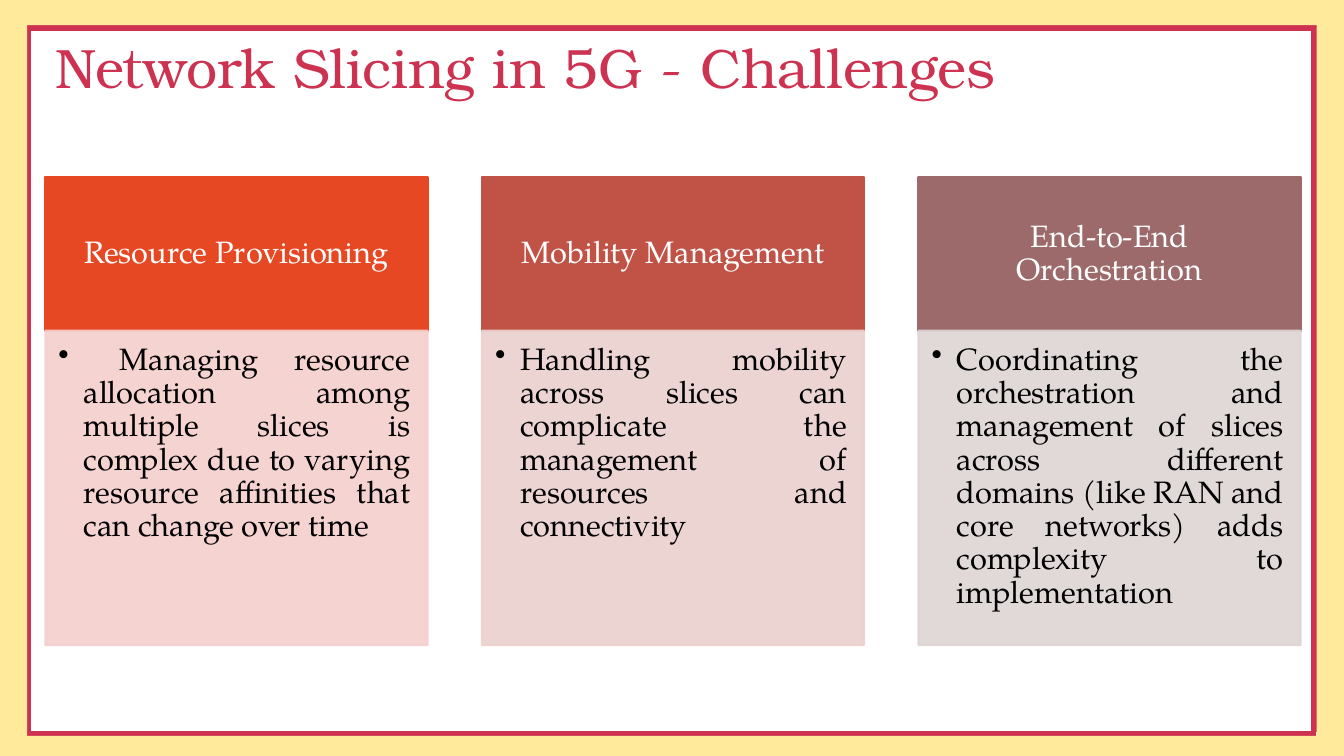
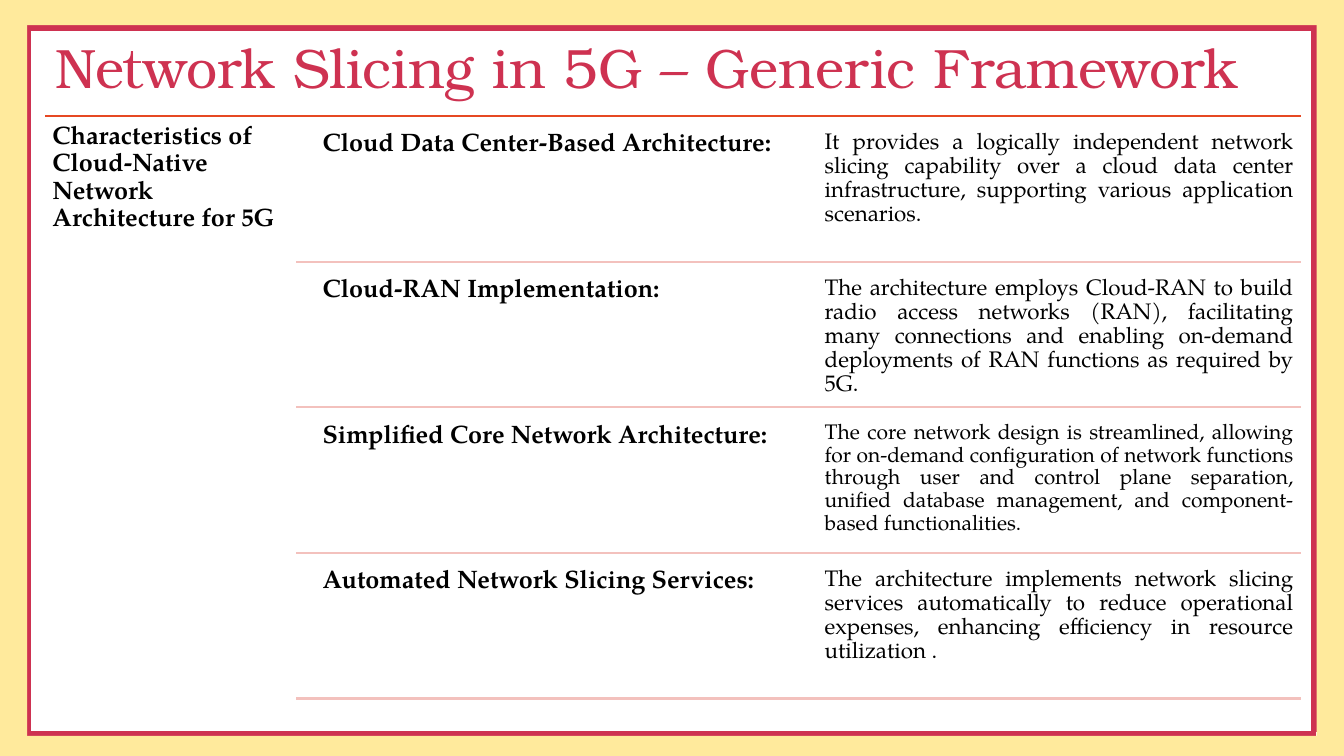
from lxml.etree import SubElement
from pptx import Presentation
from pptx.dml.color import RGBColor
from pptx.enum.shapes import MSO_CONNECTOR, MSO_SHAPE
from pptx.enum.text import MSO_ANCHOR, PP_ALIGN
from pptx.oxml.ns import qn
from pptx.util import Inches, Pt

CRIMSON, CREAM, ORANGE, ROSE = "CE3251", "FFEA9C", "E64823", "F3C1BD"
BLACK, WHITE = "000000", "FFFFFF"
TITLE_FONT, BODY_FONT = "TeX Gyre Bonum", "TeX Gyre Pagella"
CONTENT_LEFT, CONTENT_WIDTH = 0.45, 12.45

CHALLENGES = [
    ("Resource Provisioning", "E64823", "F5CFCD",
     " Managing resource allocation among multiple slices is complex due to "
     "varying resource affinities that can change over time"),
    ("Mobility Management", "C15246", "EBD0CF",
     "Handling mobility across slices can complicate the management of "
     "resources and connectivity"),
    ("End-to-End Orchestration", "9C6A6A", "DED4D4",
     "Coordinating the orchestration and management of slices across different "
     "domains (like RAN and core networks) adds complexity to implementation"),
]

CHARACTERISTICS = [
    ("Cloud Data Center-Based Architecture:", 16,
     "It provides a logically independent network slicing capability over a "
     "cloud data center infrastructure, supporting various application scenarios."),
    ("Cloud-RAN Implementation:", 16,
     "The architecture employs Cloud-RAN to build radio access networks (RAN), "
     "facilitating many connections and enabling on-demand deployments of RAN "
     "functions as required by 5G."),
    ("Simplified Core Network Architecture:", 15,
     "The core network design is streamlined, allowing for on-demand "
     "configuration of network functions through user and control plane "
     "separation, unified database management, and component-based functionalities."),
    ("Automated Network Slicing Services:", 16,
     "The architecture implements network slicing services automatically to "
     "reduce operational expenses, enhancing efficiency in resource utilization ."),
]


def paint(color_format, color, opacity=100):
    color_format.solid()
    color_format.fore_color.rgb = RGBColor.from_string(color)
    if opacity < 100:
        for srgb in color_format._xPr.iter(qn("a:srgbClr")):
            SubElement(srgb, qn("a:alpha"), val=str(opacity * 1000))


def add_line(slide, start, end, color, weight=1.5):
    points = [Inches(v) for v in (*start, *end)]
    line = slide.shapes.add_connector(MSO_CONNECTOR.STRAIGHT, *points)
    paint(line.line.fill, color)
    line.line.width = Pt(weight)
    SubElement(line._element.spPr, qn("a:effectLst"))


def add_panel(slide, box, color, outlined=False, opacity=100):
    panel = slide.shapes.add_shape(MSO_SHAPE.RECTANGLE, *map(Inches, box))
    panel.shadow.inherit = False
    paint(panel.fill, color, opacity)
    if outlined:
        paint(panel.line.fill, color, opacity)
        panel.line.width = Pt(1.5)
    else:
        panel.line.fill.background()
    return panel


def write(holder, text, size, color=BLACK, font=BODY_FONT, bold=False,
          align=PP_ALIGN.LEFT, anchor=MSO_ANCHOR.TOP,
          insets=(0.07, 0.07, 0.07, 0.07), bullet=False):
    frame = holder.text_frame
    frame.word_wrap = True
    frame.vertical_anchor = anchor
    (frame.margin_left, frame.margin_top,
     frame.margin_right, frame.margin_bottom) = map(Inches, insets)
    paragraph = frame.paragraphs[0]
    paragraph.text = text
    paragraph.alignment = align
    paragraph.line_spacing = 0.9
    if bullet:
        properties = paragraph._p.get_or_add_pPr()
        properties.set("marL", str(Inches(0.25)))
        properties.set("indent", str(-Inches(0.25)))
        SubElement(properties, qn("a:buChar"), char="•")
    paragraph.font.name = font
    paragraph.font.size = Pt(size)
    paragraph.font.bold = bold
    paragraph.font.color.rgb = RGBColor.from_string(color)


def add_text(slide, box, text, size, **style):
    write(slide.shapes.add_textbox(*map(Inches, box)), text, size, **style)


def add_framed_slide(deck, title):
    slide = deck.slides.add_slide(deck.slide_layouts[6])
    for start, end in [((0.26, 7.28), (13.05, 7.28)), ((0.28, 0.28), (0.28, 7.3)),
                       ((0.27, 0.28), (13.06, 0.28)), ((13.03, 0.24), (13.03, 7.26))]:
        add_line(slide, start, end, CRIMSON, 4.5)
    for band in [(0, 0, 13.33, 0.25), (0, 7.3, 13.33, 0.2),
                 (13.06, 0.25, 0.27, 7.05), (0, 0.25, 0.27, 7.05)]:
        add_panel(slide, band, CREAM)
    add_text(slide, (CONTENT_LEFT, 0.35, CONTENT_WIDTH, 0.69), title, 39.6,
             color=CRIMSON, font=TITLE_FONT, anchor=MSO_ANCHOR.MIDDLE,
             insets=(0.1, 0.05, 0.1, 0.05))
    return slide


def add_challenge_card(slide, box, challenge):
    left, top, width, height = box
    heading, heading_color, body_color, detail = challenge
    heading_height = 1.52
    header = add_panel(slide, (left, top, width, heading_height),
                       heading_color, outlined=True)
    write(header, heading, 22, color=WHITE, align=PP_ALIGN.CENTER,
          anchor=MSO_ANCHOR.MIDDLE, insets=(0.17, 0.1, 0.17, 0.1))
    body = add_panel(slide, (left, top + heading_height, width, height - heading_height),
                     body_color, outlined=True, opacity=90)
    write(body, detail, 22, align=PP_ALIGN.JUSTIFY,
          insets=(0.13, 0.13, 0.17, 0.19), bullet=True)


def add_challenge_cards(slide, box):
    left, top, width, height = box
    card_width = 3.79
    pitch = (width - card_width) / (len(CHALLENGES) - 1)
    for index, challenge in enumerate(CHALLENGES):
        add_challenge_card(slide, (left + index * pitch, top, card_width, height), challenge)


def add_characteristics(slide, box):
    left, top, width, height = box
    right = left + width
    topic_width, column_width, pad = 2.49, 4.79, 0.07
    row_height = height / len(CHARACTERISTICS)
    add_line(slide, (left, top), (right, top), ORANGE)
    add_text(slide, (left, top, topic_width, height),
             "Characteristics of Cloud-Native Network Architecture for 5G", 18, bold=True)
    for index, (name, size, detail) in enumerate(CHARACTERISTICS):
        row_top = top + index * row_height
        row_bottom = row_top + row_height
        text_top, text_height = row_top + pad, row_height - pad
        add_text(slide, (left + 2.68, text_top, column_width, text_height),
                 name, 18, bold=True)
        add_text(slide, (right - column_width, text_top, column_width, text_height),
                 detail, size, align=PP_ALIGN.JUSTIFY)
        add_line(slide, (left + topic_width, row_bottom), (right, row_bottom), ROSE)


def main():
    deck = Presentation()
    deck.slide_width, deck.slide_height = Inches(13.33), Inches(7.5)
    challenges = add_framed_slide(deck, "Network Slicing in 5G - Challenges")
    add_challenge_cards(challenges, (CONTENT_LEFT, 1.76, CONTENT_WIDTH, 4.64))
    framework = add_framed_slide(deck, "Network Slicing in 5G – Generic Framework")
    add_characteristics(framework, (CONTENT_LEFT, 1.15, CONTENT_WIDTH, 5.78))
    deck.save("out.pptx")


if __name__ == "__main__":
    main()
